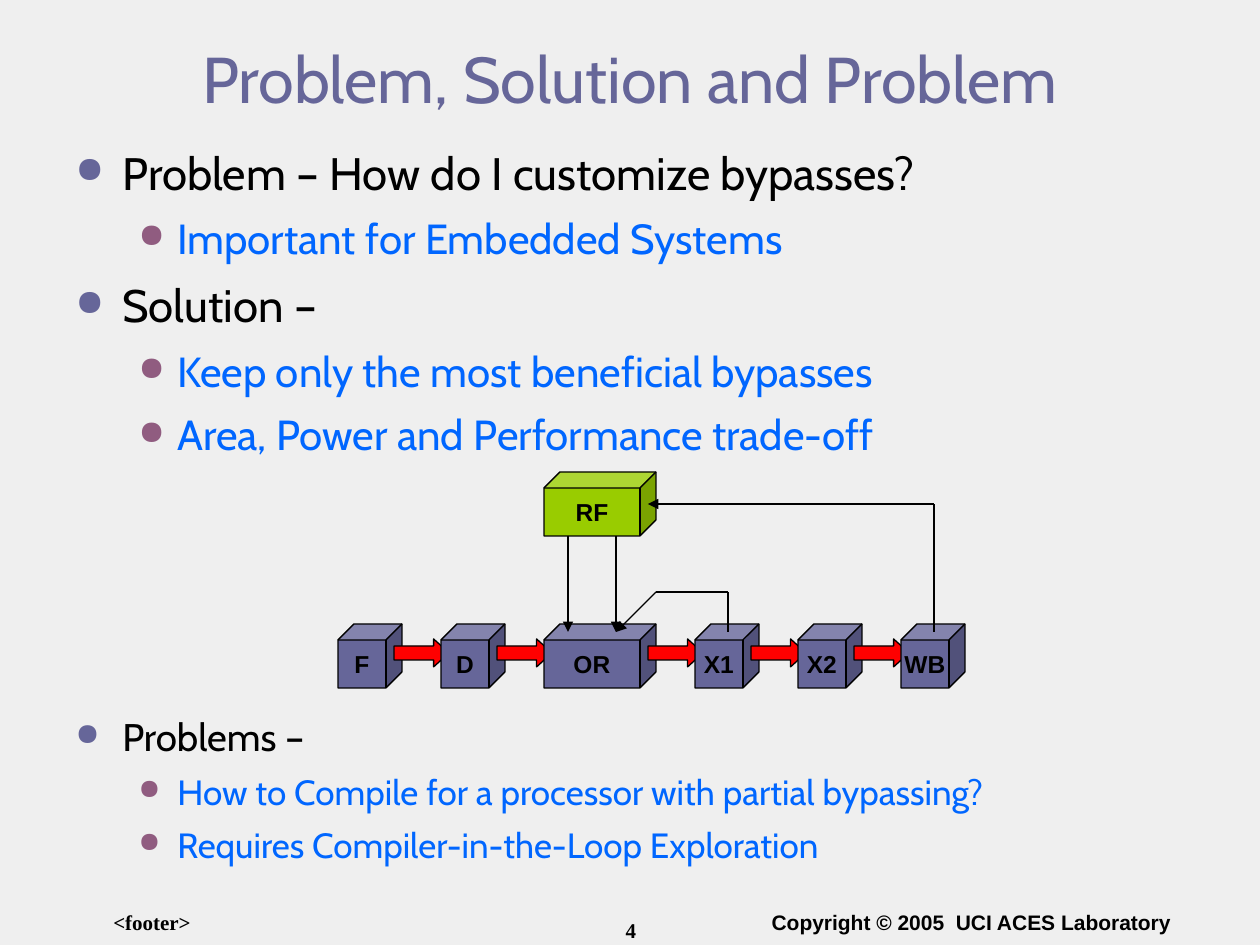
from dataclasses import dataclass
from itertools import pairwise

from lxml import etree
from pptx import Presentation
from pptx.dml.color import RGBColor
from pptx.enum.shapes import MSO_CONNECTOR, MSO_SHAPE
from pptx.enum.text import MSO_ANCHOR, PP_ALIGN
from pptx.oxml.ns import qn
from pptx.util import Pt

CUBE, ARROW = MSO_SHAPE.CUBE, MSO_SHAPE.RIGHT_ARROW
STRAIGHT = MSO_CONNECTOR.STRAIGHT
CENTER, LEFT = PP_ALIGN.CENTER, PP_ALIGN.LEFT
MIDDLE, TOP = MSO_ANCHOR.MIDDLE, MSO_ANCHOR.TOP


@dataclass(frozen=True)
class Theme:
    background: str = "EFEFEF"
    ink: str = "000000"
    accent: str = "666699"
    detail: str = "0066FF"
    detail_bullet: str = "905C80"
    register: str = "99CC00"
    flow: str = "FF0000"
    heading_font: str = "Cabin"
    label_font: str = "Arial"
    footer_font: str = "Times New Roman"
    title_size: int = 37
    label_size: int = 14
    footer_size: int = 12
    line_width: float = 0.75


THEME = Theme()

# Content: bullets are (level, text)
TITLE = "Problem, Solution and Problem"
TOP_BULLETS = [
    (0, "Problem – How do I customize bypasses?"),
    (1, "Important for Embedded Systems"),
    (0, "Solution –"),
    (1, "Keep only the most beneficial bypasses"),
    (1, "Area, Power and Performance trade-off"),
]
BOTTOM_BULLETS = [
    (0, "Problems –"),
    (1, "How to Compile for a processor with partial bypassing?"),
    (1, "Requires Compiler-in-the-Loop Exploration"),
]
STAGES = [("F", 64), ("D", 64), ("OR", 112), ("X1", 64), ("X2", 64), ("WB", 64)]
FOOTERS = [
    ("<footer>", (42, 903, 220, 42), THEME.footer_font),
    ("Copyright © 2005  UCI ACES Laboratory", (756, 903, 431, 42), THEME.label_font),
    ("4", (474, 911, 314, 38), THEME.footer_font),
]

# Level geometry in px: (left margin, hanging indent, line spacing, bullet colour, text colour)
LEVELS = [
    (47, 47, 0.85, THEME.accent, THEME.ink),
    (102, 39, 1.0, THEME.detail_bullet, THEME.detail),
]

# Pipeline geometry in px
PIPE_LEFT, PIPE_TOP, CUBE_HEIGHT, STAGE_GAP = 338, 624, 64, 39
DEPTH = CUBE_HEIGHT // 4
REGISTER_TOP = 472
ARROW_OVERLAP, ARROW_TOP, ARROW_SIZE = 8, 639, (55, 28)


def px(value):
    return round(value * 914400 / 126)


def color(value):
    return RGBColor.from_string(value)


def add_run(paragraph, text, font, size, text_color, bold=False):
    run = paragraph.add_run()
    run.text = text
    run.font.name, run.font.size, run.font.bold = font, Pt(size), bold
    run.font.color.rgb = color(text_color)


def add_text_box(slide, box, anchor=TOP):
    frame = slide.shapes.add_textbox(*map(px, box)).text_frame
    frame.word_wrap = True
    frame.vertical_anchor = anchor
    return frame


def add_bullets(slide, box, bullets, sizes, spaces):
    frame = add_text_box(slide, box)
    for index, (level, text) in enumerate(bullets):
        paragraph = frame.add_paragraph() if index else frame.paragraphs[0]
        margin, hanging, line_spacing, bullet_color, text_color = LEVELS[level]
        paragraph.level = level
        properties = paragraph._p.get_or_add_pPr()
        properties.set("marL", str(px(margin)))
        properties.set("indent", str(-px(hanging)))
        holder = etree.SubElement(properties, qn("a:buClr"))
        etree.SubElement(holder, qn("a:srgbClr"), val=bullet_color)
        etree.SubElement(properties, qn("a:buSzPct"), val="80000")
        etree.SubElement(properties, qn("a:buChar"), char="●")
        paragraph.alignment = LEFT
        paragraph.line_spacing = line_spacing
        paragraph.space_before = Pt(spaces[level] if index else 0)
        add_run(paragraph, text, THEME.heading_font, sizes[level], text_color)


def add_block(slide, kind, box, fill):
    shape = slide.shapes.add_shape(kind, *map(px, box))
    shape.shadow.inherit = False
    shape.fill.solid()
    shape.fill.fore_color.rgb = color(fill)
    shape.line.color.rgb = color(THEME.ink)
    shape.line.width = Pt(THEME.line_width)
    return shape


def add_cube(slide, label, box, fill):
    frame = add_block(slide, CUBE, box, fill).text_frame
    frame.word_wrap = False
    frame.vertical_anchor = MIDDLE
    frame.paragraphs[0].alignment = CENTER
    add_run(frame.paragraphs[0], label, THEME.label_font, THEME.label_size, THEME.ink, True)


def add_wire(slide, points):
    """Draw straight segments through the points, with an arrowhead on the last."""
    for start, end in pairwise(points):
        wire = slide.shapes.add_connector(STRAIGHT, *map(px, start + end))
        wire.line.color.rgb = color(THEME.ink)
        wire.line.width = Pt(THEME.line_width)
        etree.SubElement(wire._element.spPr, qn("a:effectLst"))
    etree.SubElement(wire.line._get_or_add_ln(), qn("a:tailEnd"), type="triangle")


def add_pipeline(slide):
    # Stages, each followed by a flow arrow that tucks under the next cube
    lefts, left = {}, PIPE_LEFT
    for label, width in STAGES:
        lefts[label] = left
        add_cube(slide, label, (left, PIPE_TOP, width, CUBE_HEIGHT), THEME.accent)
        right = left + width
        if label != STAGES[-1][0]:
            arrow_box = (right - ARROW_OVERLAP, ARROW_TOP, *ARROW_SIZE)
            arrow = add_block(slide, ARROW, arrow_box, THEME.flow)
            arrow.adjustments[0], arrow.adjustments[1] = 0.5, 0.55
        left = right + STAGE_GAP

    # Register file above the operand read stage
    read_left, read_width = lefts["OR"], dict(STAGES)["OR"]
    add_cube(slide, "RF", (read_left, REGISTER_TOP, read_width, CUBE_HEIGHT), THEME.register)

    # Read ports, bypass and write-back
    entry = PIPE_TOP + DEPTH // 2
    ports = [read_left + 24, read_left + 72]
    for port in ports:
        add_wire(slide, [(port, REGISTER_TOP + CUBE_HEIGHT), (port, entry)])
    bypass, bypass_top = lefts["X1"] + 33, 592
    add_wire(slide, [(bypass, entry), (bypass, bypass_top),
                     (read_left + read_width, bypass_top), (ports[1], entry)])
    write, write_top = lefts["WB"] + 33, REGISTER_TOP + CUBE_HEIGHT // 2
    add_wire(slide, [(write, entry), (write, write_top),
                     (read_left + read_width - DEPTH // 2, write_top)])


def main():
    presentation = Presentation()
    presentation.slide_width, presentation.slide_height = px(1260), px(945)
    slide = presentation.slides.add_slide(presentation.slide_layouts[6])
    slide.background.fill.solid()
    slide.background.fill.fore_color.rgb = color(THEME.background)

    # Footers
    for text, box, font in FOOTERS:
        paragraph = add_text_box(slide, box).paragraphs[0]
        paragraph.alignment = CENTER
        add_run(paragraph, text, font, THEME.footer_size, THEME.ink, True)

    # Title
    paragraph = add_text_box(slide, (63, 38, 1134, 91), MIDDLE).paragraphs[0]
    paragraph.alignment = CENTER
    paragraph.line_spacing = 0.85
    add_run(paragraph, TITLE, THEME.heading_font, THEME.title_size, THEME.accent)

    # Bullets and diagram
    add_bullets(slide, (63, 147, 1134, 336), TOP_BULLETS, (26, 24), (13, 7.5))
    add_pipeline(slide)
    add_bullets(slide, (63, 714, 1134, 158), BOTTOM_BULLETS, (22, 20), (11, 6.2))

    presentation.save("out.pptx")


if __name__ == "__main__":
    main()
